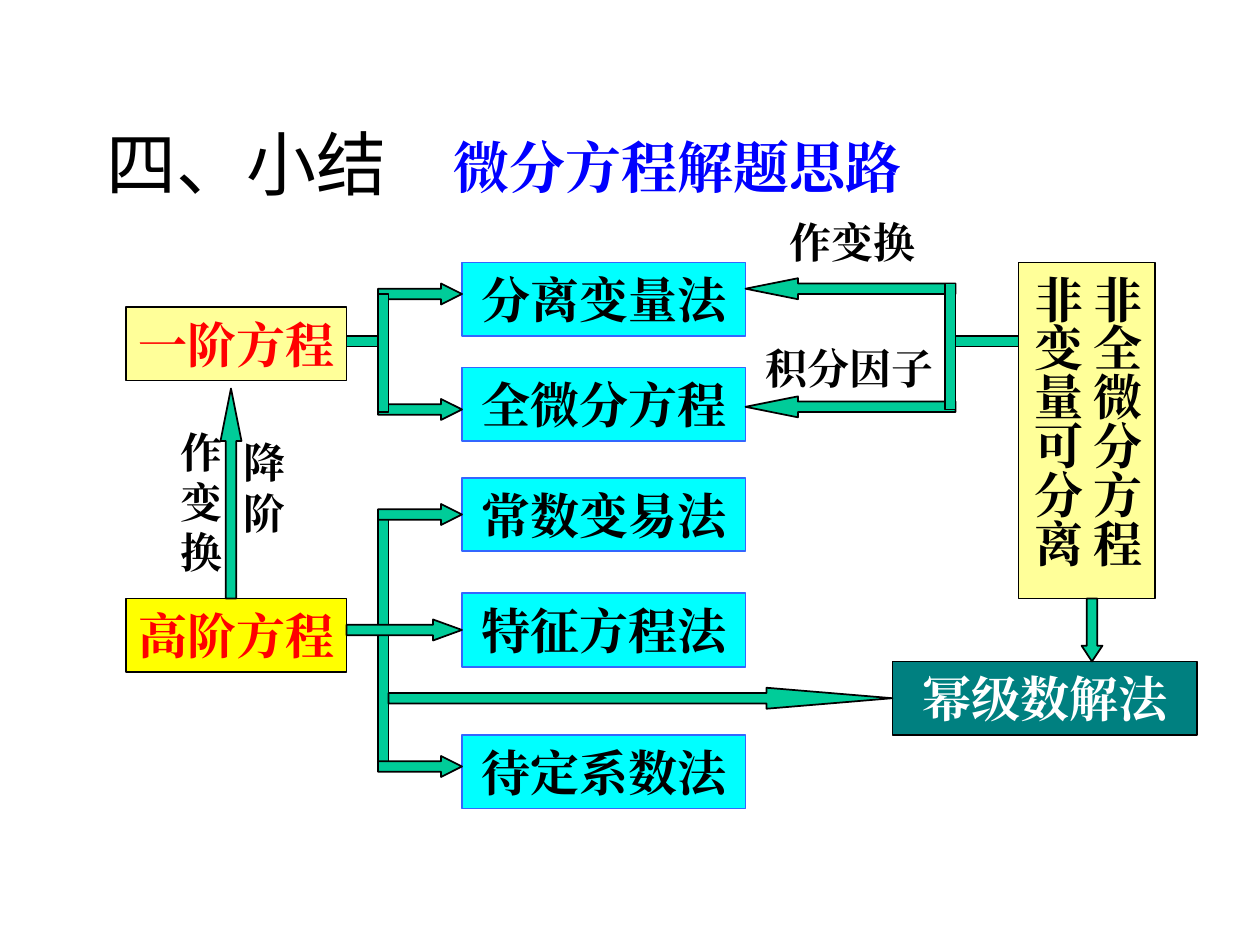
import pptx
import pptx.util
import pptx.dml.color
import pptx.enum.shapes
import pptx.enum.text
import lxml.etree

KIND = pptx.enum.shapes.MSO_SHAPE
ALIGN = pptx.enum.text.PP_ALIGN
ANCHOR = pptx.enum.text.MSO_ANCHOR

THEME = {
    "latin": "Times New Roman", "head": "Noto Sans CJK SC",
    "black": "000000", "white": "FFFFFF", "red": "FF0000", "blue": "0000FF",
    "cream": "FFFF99", "yellow": "FFFF00", "cyan": "00FFFF", "teal": "008080",
    "green": "00CC99", "edge": "3366FF",
    "title": 40, "sub": 32, "box": 28, "label": 24, "line": 1,
}

# All lengths are cells of a 120 x 90 grid on the slide.
COLS, ROWS = 120, 90
WIDE, HIGH = 10, 7.5
BOX = 7      # box height
BAR = 1      # bar thickness
ARROW = 2    # arrow thickness

# text, left, top, width, height, fill, edge, ink
BOXES = [
    ("一阶方程", 12, 29.25, 21, BOX, "cream", "black", "red"),
    ("高阶方程", 12, 57, 21, BOX, "yellow", "black", "red"),
    ("非全微分方程\n非变量可分离", 97, 25, 13, 32, "cream", "black", "black"),
    ("幂级数解法", 85, 63, 29, BOX, "teal", "black", "white"),
]
METHODS = [("分离变量法", 25), ("全微分方程", 35), ("常数变易法", 45.5),
           ("特征方程法", 56.5), ("待定系数法", 70)]
BOXES += [(text, 44, top, 27, BOX, "cyan", "edge", "black")
          for text, top in METHODS]

# kind, left, top, length; listed from back to front
LINKS = [
    ("across", 90, 32, 7),
    ("up", 21, 37, 20),
    ("down", 36, 49, 24),
    ("right arrow", 36, 48, 8),
    ("right arrow", 33, 59, 11),
    ("right arrow", 36, 72, 8),
    ("right arrow", 37, 65.5, 48),
    ("right arrow", 36, 27, 8),
    ("right arrow", 36, 38, 8),
    ("down", 36, 28, 11.25),
    ("across", 33, 32, 3),
    ("down arrow", 103, 57, 6),
    ("left arrow", 71, 26.5, 20),
    ("left arrow", 71, 37.75, 20),
    ("down", 90, 27, 12),
]
# shape, thickness, runs upright
FORMS = {
    "across": (KIND.RECTANGLE, BAR, False),
    "down": (KIND.RECTANGLE, BAR, True),
    "up": (KIND.UP_ARROW, ARROW, True),
    "down arrow": (KIND.DOWN_ARROW, ARROW, True),
    "right arrow": (KIND.RIGHT_ARROW, ARROW, False),
    "left arrow": (KIND.LEFT_ARROW, ARROW, False),
}

# text, left, top, width, height, size, ink, font, bold, anchor
TITLES = [
    ("四、小结", 9, 8, 102, 15, "title", "black", "head", False, ANCHOR.MIDDLE),
    ("微分方程解题思路", 42, 12, 57, 7.7, "sub", "blue", "latin", True, ANCHOR.TOP),
]
LABELS = [("降阶", 22, 41, 7, 10.8), ("作变换", 16, 40, 7, 15.6),
          ("作变换", 74, 20, 17, 6), ("积分因子", 71.75, 32, 19, 6)]
TITLES += [(*label, "label", "black", "latin", True, ANCHOR.TOP)
           for label in LABELS]


def place(left, top, width, height):
    """Turn grid cells into slide lengths."""
    x, y = WIDE / COLS, HIGH / ROWS
    return [pptx.util.Inches(n)
            for n in (left * x, top * y, width * x, height * y)]


def tint(name):
    return pptx.dml.color.RGBColor.from_string(THEME[name])


def write(frame, text, size, ink, font="latin", bold=True, align=ALIGN.LEFT):
    frame.text = text
    for para in frame.paragraphs:
        para.alignment = align
        for run in para.runs:
            run.font.size = pptx.util.Pt(THEME[size])
            run.font.bold = bold
            run.font.color.rgb = tint(ink)
            run.font.name = THEME[font]
            # Same face for East Asian text
            props = run._r.get_or_add_rPr()
            props.set("lang", "zh-CN")
            latin = props.find(pptx.oxml.ns.qn("a:latin"))
            east = lxml.etree.Element(pptx.oxml.ns.qn("a:ea"))
            east.set("typeface", THEME[font])
            latin.addnext(east)


def draw(slide, kind, spot, fill, edge):
    shape = slide.shapes.add_shape(kind, *place(*spot))
    shape.shadow.inherit = False
    shape.fill.solid()
    shape.fill.fore_color.rgb = tint(fill)
    shape.line.color.rgb = tint(edge)
    shape.line.width = pptx.util.Pt(THEME["line"])
    return shape


def add_box(slide, text, left, top, width, height, fill, edge, ink):
    shape = draw(slide, KIND.RECTANGLE, (left, top, width, height), fill, edge)
    frame = shape.text_frame
    frame.word_wrap = False
    frame.vertical_anchor = ANCHOR.MIDDLE
    write(frame, text, "box", ink, align=ALIGN.CENTER)
    if height > width:
        # Tall boxes read in columns from right to left
        frame._txBody.bodyPr.set("vert", "eaVert")
        frame.margin_left = frame.margin_right = pptx.util.Inches(0.05)
        frame.margin_top = frame.margin_bottom = pptx.util.Inches(0.1)


def add_link(slide, name, left, top, length):
    kind, thick, upright = FORMS[name]
    size = (thick, length) if upright else (length, thick)
    shape = draw(slide, kind, (left, top, *size), "green", "black")
    if kind != KIND.RECTANGLE:
        # The head takes a quarter of the arrow
        shape.adjustments[0] = 0.5
        shape.adjustments[1] = length / 4 / thick


def add_text(slide, text, left, top, width, height,
             size, ink, font, bold, anchor):
    box = slide.shapes.add_textbox(*place(left, top, width, height))
    box.text_frame.word_wrap = True
    box.text_frame.vertical_anchor = anchor
    write(box.text_frame, text, size, ink, font, bold)


def main():
    deck = pptx.Presentation()
    deck.slide_width = pptx.util.Inches(WIDE)
    deck.slide_height = pptx.util.Inches(HIGH)
    slide = deck.slides.add_slide(deck.slide_layouts[6])
    for box in BOXES:
        add_box(slide, *box)
    for link in LINKS:
        add_link(slide, *link)
    for title in TITLES:
        add_text(slide, *title)
    deck.save("out.pptx")


if __name__ == "__main__":
    main()
